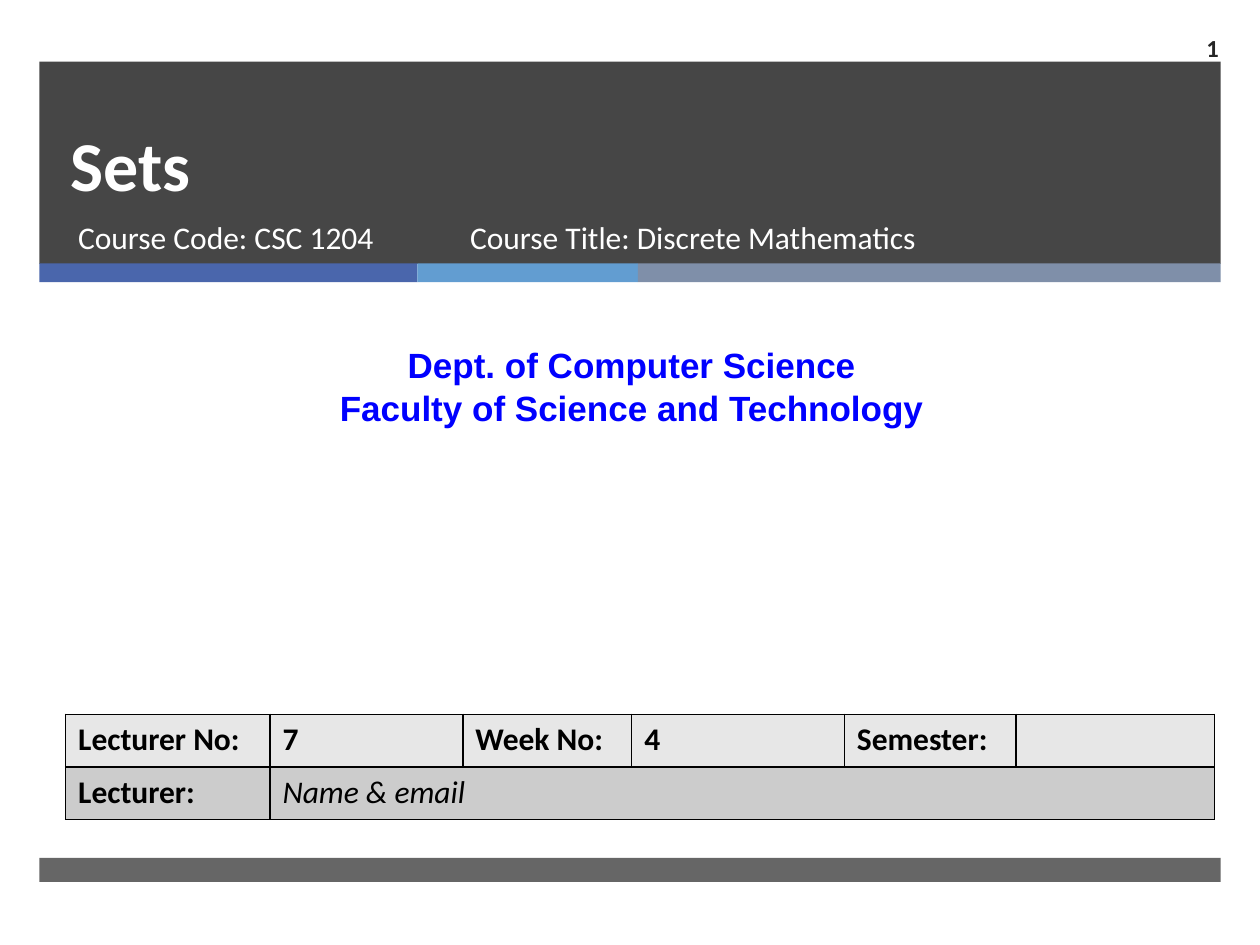
from dataclasses import dataclass

from lxml import etree
from pptx import Presentation
from pptx.dml.color import RGBColor
from pptx.enum.shapes import MSO_SHAPE
from pptx.enum.text import MSO_ANCHOR, MSO_AUTO_SIZE, PP_ALIGN
from pptx.oxml import parse_xml
from pptx.oxml.ns import nsdecls, qn
from pptx.util import Pt


@dataclass(frozen=True)
class Theme:
    dark: str = "262626"
    blue: str = "4A66AC"
    sky: str = "629DD1"
    slate: str = "7F8FA9"
    white: str = "FFFFFF"
    black: str = "000000"
    dept: str = "0000FF"
    row_fills: tuple = ("E7E7E7", "CCCCCC")
    body_font: str = "Calibri"
    dept_font: str = "Arial"
    title_size: int = 40
    dept_size: int = 20
    body_size: int = 18
    number_size: int = 14


theme = Theme()


def style_text(tf, size, color, bold=False, italic=False, font=theme.body_font, align=PP_ALIGN.LEFT):
    for p in tf.paragraphs:
        p.alignment = align
        for r in p.runs:
            r.font.name = font
            r.font.size = Pt(size)
            r.font.bold = bold
            r.font.italic = italic
            r.font.color.rgb = RGBColor.from_string(color)


prs = Presentation()
prs.slide_width, prs.slide_height = Pt(720), Pt(540)
s = prs.slides.add_slide(prs.slide_layouts[5])

# Header band, accent stripes and footer band: left, top, width, height, colour, opacity %
bars = [
    (22.5, 35.25, 675, 115.5, theme.dark, 85),
    (22.5, 150.5, 216, 10.75, theme.blue, 100),
    (238.5, 150.5, 126, 10.75, theme.sky, 100),
    (364.5, 150.5, 333, 10.75, theme.slate, 100),
    (22.5, 490.25, 675, 13.75, theme.dark, 70),
]
for left, top, width, height, color, opacity in bars:
    bar = s.shapes.add_shape(MSO_SHAPE.RECTANGLE, Pt(left), Pt(top), Pt(width), Pt(height))
    bar.shadow.inherit = False
    bar.line.fill.background()
    bar.fill.solid()
    bar.fill.fore_color.rgb = RGBColor.from_string(color)
    if opacity < 100:
        clr = bar.fill._xPr.find(".//" + qn("a:srgbClr"))
        etree.SubElement(clr, qn("a:alpha"), val=str(opacity * 1000))

# Title, brought in front of the header band
title = s.shapes.title
s.shapes._spTree.append(title._element)
title.left, title.top, title.width, title.height = Pt(33), Pt(35.25), Pt(615), Pt(85.75)
tf = title.text_frame
tf.text = "Sets"
tf.auto_size = MSO_AUTO_SIZE.NONE
tf.vertical_anchor = MSO_ANCHOR.BOTTOM
tf.paragraphs[0].line_spacing = Pt(46)
style_text(tf, theme.title_size, theme.white, bold=True)

# Text boxes: text, left, top, width, height, anchor, text style
course = dict(size=theme.body_size, color=theme.white)
texts = [
    ("Course Code: CSC 1204", 37.5, 121, 220, 38, MSO_ANCHOR.TOP, course),
    ("Course Title: Discrete Mathematics", 261.5, 121, 327.5, 38, MSO_ANCHOR.TOP, course),
    ("Dept. of Computer Science\nFaculty of Science and Technology", 5.75, 193, 710.5, 55.75, MSO_ANCHOR.TOP,
     dict(size=theme.dept_size, color=theme.dept, bold=True, font=theme.dept_font, align=PP_ALIGN.CENTER)),
    ("1", 653.75, 13.25, 49.75, 28, MSO_ANCHOR.MIDDLE,
     dict(size=theme.number_size, color=theme.dark, bold=True, align=PP_ALIGN.RIGHT)),
]
for text, left, top, width, height, anchor, style in texts:
    tf = s.shapes.add_textbox(Pt(left), Pt(top), Pt(width), Pt(height)).text_frame
    tf.word_wrap = True
    tf.vertical_anchor = anchor
    tf.text = text
    style_text(tf, **style)

# Lecture details table
rows = [
    ["Lecturer No:", "7", "Week No:", "4", "Semester:", ""],
    ["Lecturer:", "Name & email", "", "", "", ""],
]
col_widths = [116.75, 110.25, 96.5, 121.5, 98, 113.5]
table = s.shapes.add_table(2, 6, Pt(37.5), Pt(408.25), Pt(sum(col_widths)), Pt(60)).table
for col, width in zip(table.columns, col_widths):
    col.width = Pt(width)
for i, values in enumerate(rows):
    table.rows[i].height = Pt(30)
    for j, value in enumerate(values):
        cell = table.cell(i, j)
        cell.text = value
        is_name = (i, j) == (1, 1)
        style_text(cell.text_frame, theme.body_size, theme.black, bold=not is_name, italic=is_name)
        tcPr = cell._tc.get_or_add_tcPr()
        for side in ("lnL", "lnR", "lnT", "lnB"):
            tcPr.append(parse_xml(
                f'<a:{side} {nsdecls("a")} w="{Pt(1)}"><a:solidFill>'
                f'<a:srgbClr val="{theme.black}"/></a:solidFill></a:{side}>'))
        cell.fill.solid()
        cell.fill.fore_color.rgb = RGBColor.from_string(theme.row_fills[i])
table.cell(1, 1).merge(table.cell(1, 5))

prs.save("out.pptx")
